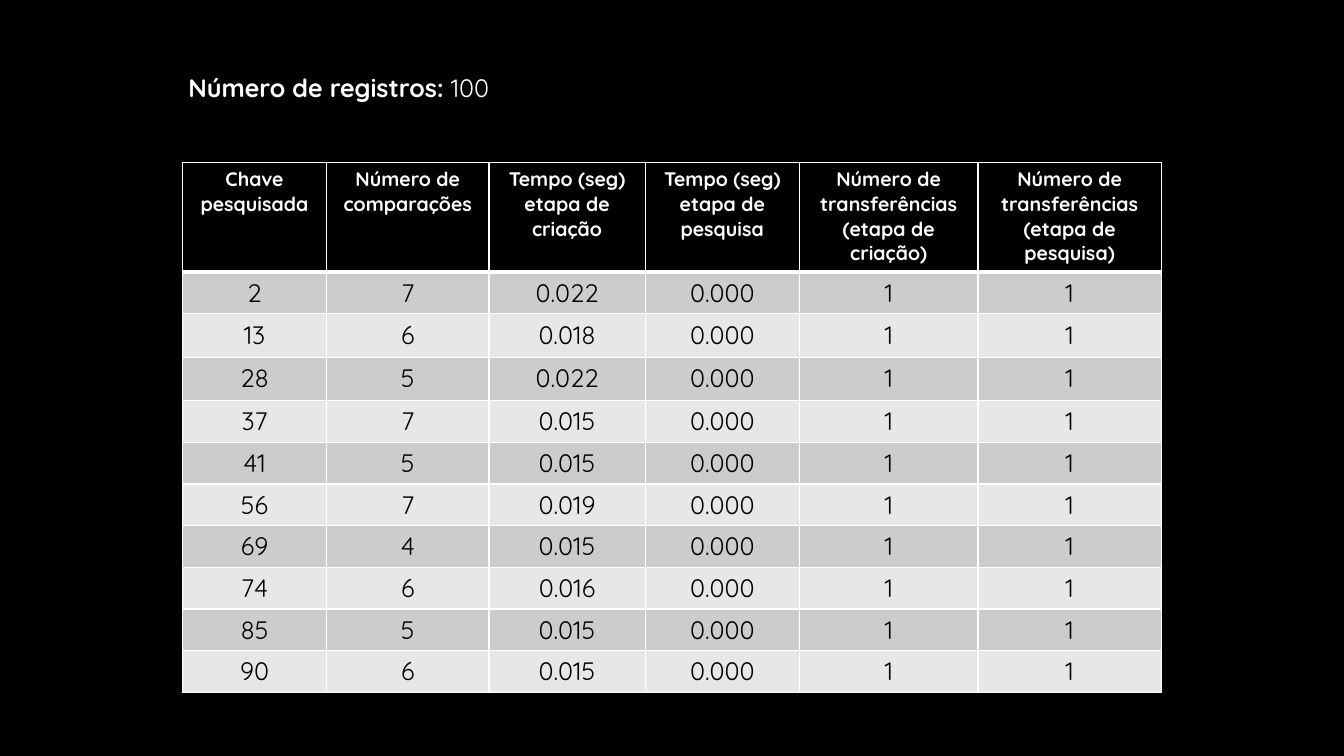
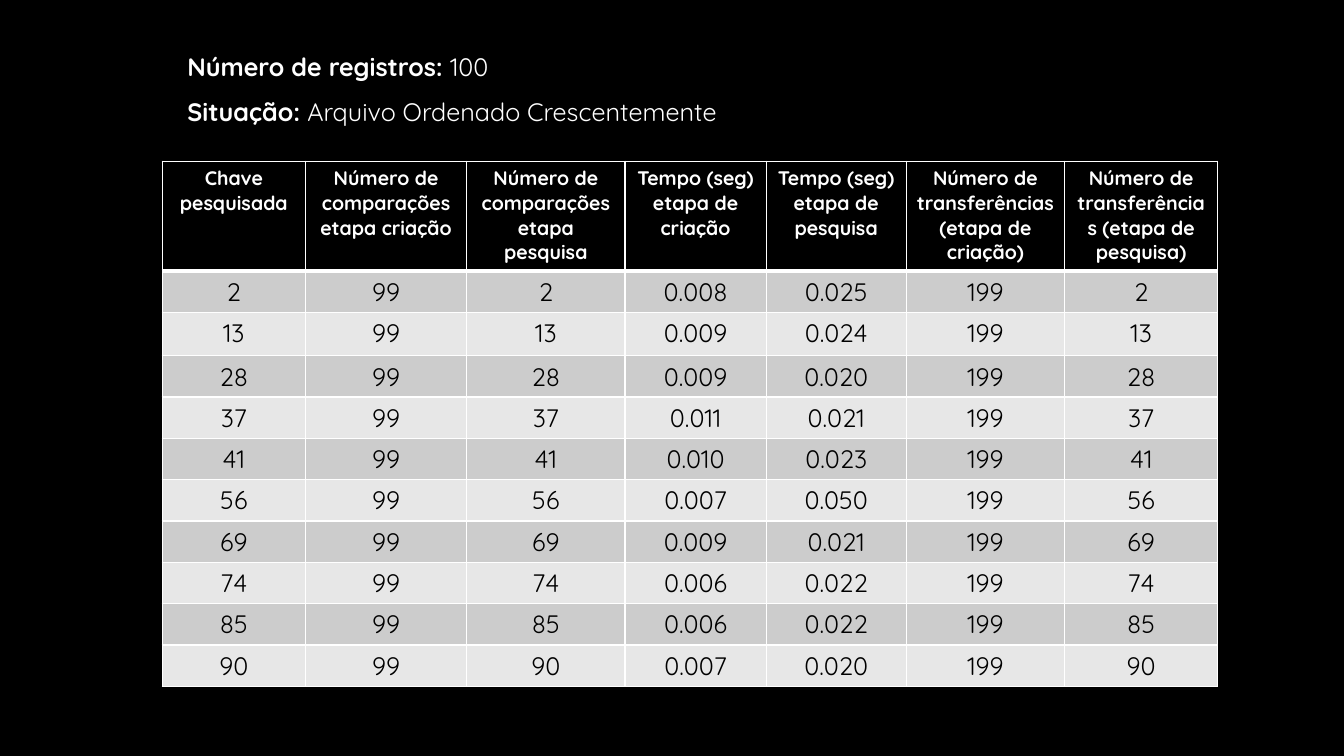
from dataclasses import dataclass

from lxml import etree
from pptx import Presentation
from pptx.dml.color import RGBColor
from pptx.enum.text import MSO_AUTO_SIZE, PP_ALIGN
from pptx.oxml.ns import qn
from pptx.util import Inches, Pt

CENTER = PP_ALIGN.CENTER
LEFT = PP_ALIGN.LEFT
FIT_SHAPE = MSO_AUTO_SIZE.SHAPE_TO_FIT_TEXT

BLACK = RGBColor(0x00, 0x00, 0x00)
WHITE = RGBColor(0xFF, 0xFF, 0xFF)
DARK_BAND = RGBColor(0xCC, 0xCC, 0xCC)
LIGHT_BAND = RGBColor(0xE7, 0xE7, 0xE7)

FONT = "Quicksand"
TEXT_SIZE = 18
HEADER_SIZE = 14
THIN_BORDER = 1
HEADER_BORDER = 3
HEADER_HEIGHT = 1.09
ROW_HEIGHT = 0.41
TALL_ROW_HEIGHT = 0.43

SEARCH_KEYS = (2, 13, 28, 37, 41, 56, 69, 74, 85, 90)
KEY_HEADING = "Chave pesquisada"
SHARED_HEADINGS = (
    "Tempo (seg) etapa de criação",
    "Tempo (seg) etapa de pesquisa",
    "Número de transferências (etapa de criação)",
    "Número de transferências (etapa de pesquisa)",
)


@dataclass(frozen=True)
class Box:
    left: float
    top: float
    width: float
    height: float


@dataclass(frozen=True)
class Caption:
    box: Box
    lines: tuple[tuple[str, str], ...]
    wrap: bool
    line_spacing: float


@dataclass(frozen=True)
class ResultTable:
    left: float
    top: float
    column_widths: tuple[float, ...]
    headings: tuple[str, ...]
    rows: tuple[tuple[str, ...], ...]
    tall_rows: tuple[int, ...]

    def row_heights(self) -> list[float]:
        body = [
            TALL_ROW_HEIGHT if index in self.tall_rows else ROW_HEIGHT
            for index in range(1, len(self.rows) + 1)
        ]
        return [HEADER_HEIGHT, *body]


@dataclass(frozen=True)
class ResultSlide:
    caption: Caption
    table: ResultTable


INDEXED_COMPARISONS = (7, 6, 5, 7, 5, 7, 4, 6, 5, 6)
INDEXED_CREATION = (
    "0.022", "0.018", "0.022", "0.015", "0.015",
    "0.019", "0.015", "0.016", "0.015", "0.015",
)
ORDERED_CREATION = (
    "0.008", "0.009", "0.009", "0.011", "0.010",
    "0.007", "0.009", "0.006", "0.006", "0.007",
)
ORDERED_SEARCH = (
    "0.025", "0.024", "0.020", "0.021", "0.023",
    "0.050", "0.021", "0.022", "0.022", "0.020",
)

RESULT_SLIDES = (
    ResultSlide(
        Caption(
            Box(1.77, 0.67, 3.64, 0.39),
            (("Número de registros:", " 100"),),
            wrap=True,
            line_spacing=1.0,
        ),
        ResultTable(
            left=1.81,
            top=1.61,
            column_widths=(1.43, 1.61, 1.55, 1.53, 1.77, 1.82),
            headings=(KEY_HEADING, "Número de comparações", *SHARED_HEADINGS),
            rows=tuple(
                (str(key), str(comparisons), creation, "0.000", "1", "1")
                for key, comparisons, creation in zip(
                    SEARCH_KEYS, INDEXED_COMPARISONS, INDEXED_CREATION
                )
            ),
            tall_rows=(2, 3),
        ),
    ),
    ResultSlide(
        Caption(
            Box(1.76, 0.31, 5.88, 0.95),
            (
                ("Número de registros: ", "100"),
                ("Situação: ", "Arquivo Ordenado Crescentemente"),
            ),
            wrap=False,
            line_spacing=1.5,
        ),
        ResultTable(
            left=1.61,
            top=1.6,
            column_widths=(1.42, 1.6, 1.57, 1.4, 1.39, 1.57, 1.52),
            headings=(
                KEY_HEADING,
                "Número de comparações etapa criação",
                "Número de comparações etapa pesquisa",
                *SHARED_HEADINGS,
            ),
            rows=tuple(
                (str(key), "99", str(key), creation, search, "199", str(key))
                for key, creation, search in zip(
                    SEARCH_KEYS, ORDERED_CREATION, ORDERED_SEARCH
                )
            ),
            tall_rows=(2,),
        ),
    ),
)


def add_run(paragraph, text: str, size: int, color: RGBColor, bold: bool) -> None:
    run = paragraph.add_run()
    run.text = text
    run.font.name = FONT
    run.font.size = Pt(size)
    run.font.color.rgb = color
    run.font.bold = bold


def set_borders(cell, top: int, bottom: int) -> None:
    properties = cell._tc.get_or_add_tcPr()
    widths = (("lnL", THIN_BORDER), ("lnR", THIN_BORDER), ("lnT", top), ("lnB", bottom))
    for position, (edge, width) in enumerate(widths):
        line = etree.Element(qn(f"a:{edge}"), w=str(Pt(width)))
        fill = etree.SubElement(line, qn("a:solidFill"))
        etree.SubElement(fill, qn("a:srgbClr"), val=str(WHITE))
        properties.insert(position, line)


def fill_cell(cell, text: str, row_index: int) -> None:
    is_header = row_index == 0
    cell.fill.solid()
    if is_header:
        cell.fill.fore_color.rgb = BLACK
    else:
        cell.fill.fore_color.rgb = DARK_BAND if row_index % 2 else LIGHT_BAND
    set_borders(
        cell,
        top=HEADER_BORDER if row_index == 1 else THIN_BORDER,
        bottom=HEADER_BORDER if is_header else THIN_BORDER,
    )
    paragraph = cell.text_frame.paragraphs[0]
    paragraph.alignment = CENTER
    add_run(
        paragraph,
        text,
        HEADER_SIZE if is_header else TEXT_SIZE,
        WHITE if is_header else BLACK,
        is_header,
    )


def draw_table(slide, content: ResultTable) -> None:
    heights = content.row_heights()
    table = slide.shapes.add_table(
        len(heights),
        len(content.column_widths),
        Inches(content.left),
        Inches(content.top),
        Inches(sum(content.column_widths)),
        Inches(sum(heights)),
    ).table
    for column, width in zip(table.columns, content.column_widths):
        column.width = Inches(width)
    for row, height in zip(table.rows, heights):
        row.height = Inches(height)
    for row_index, values in enumerate((content.headings, *content.rows)):
        for column_index, text in enumerate(values):
            fill_cell(table.cell(row_index, column_index), text, row_index)


def draw_caption(slide, caption: Caption) -> None:
    box = caption.box
    shape = slide.shapes.add_textbox(
        Inches(box.left), Inches(box.top), Inches(box.width), Inches(box.height)
    )
    frame = shape.text_frame
    frame.word_wrap = caption.wrap
    frame.auto_size = FIT_SHAPE
    for index, (label, value) in enumerate(caption.lines):
        paragraph = frame.add_paragraph() if index else frame.paragraphs[0]
        paragraph.alignment = LEFT
        paragraph.line_spacing = caption.line_spacing
        add_run(paragraph, label, TEXT_SIZE, WHITE, True)
        add_run(paragraph, value, TEXT_SIZE, WHITE, False)


def main() -> None:
    presentation = Presentation()
    presentation.slide_width = Inches(13.33)
    presentation.slide_height = Inches(7.5)
    background = presentation.slide_master.background.fill
    background.solid()
    background.fore_color.rgb = BLACK
    blank_layout = presentation.slide_layouts[6]
    for content in RESULT_SLIDES:
        slide = presentation.slides.add_slide(blank_layout)
        draw_table(slide, content.table)
        draw_caption(slide, content.caption)
    presentation.save("out.pptx")


if __name__ == "__main__":
    main()
